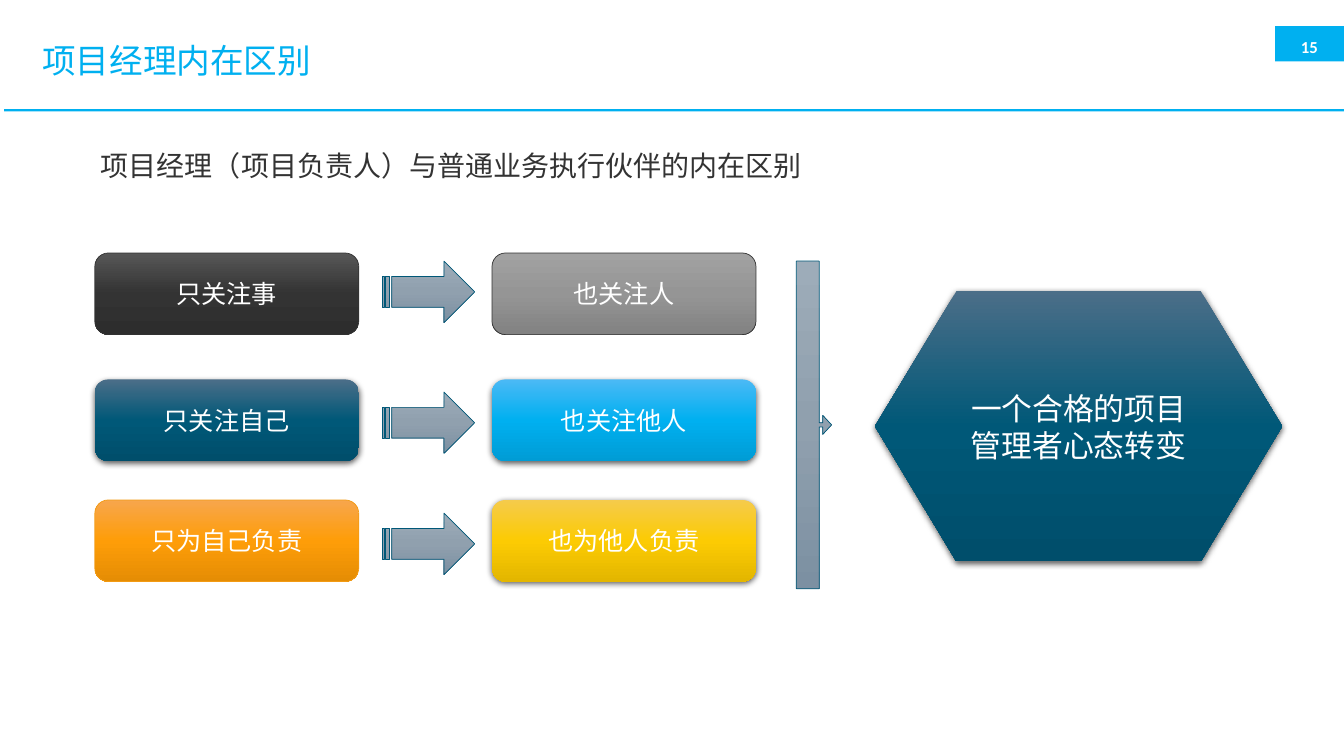
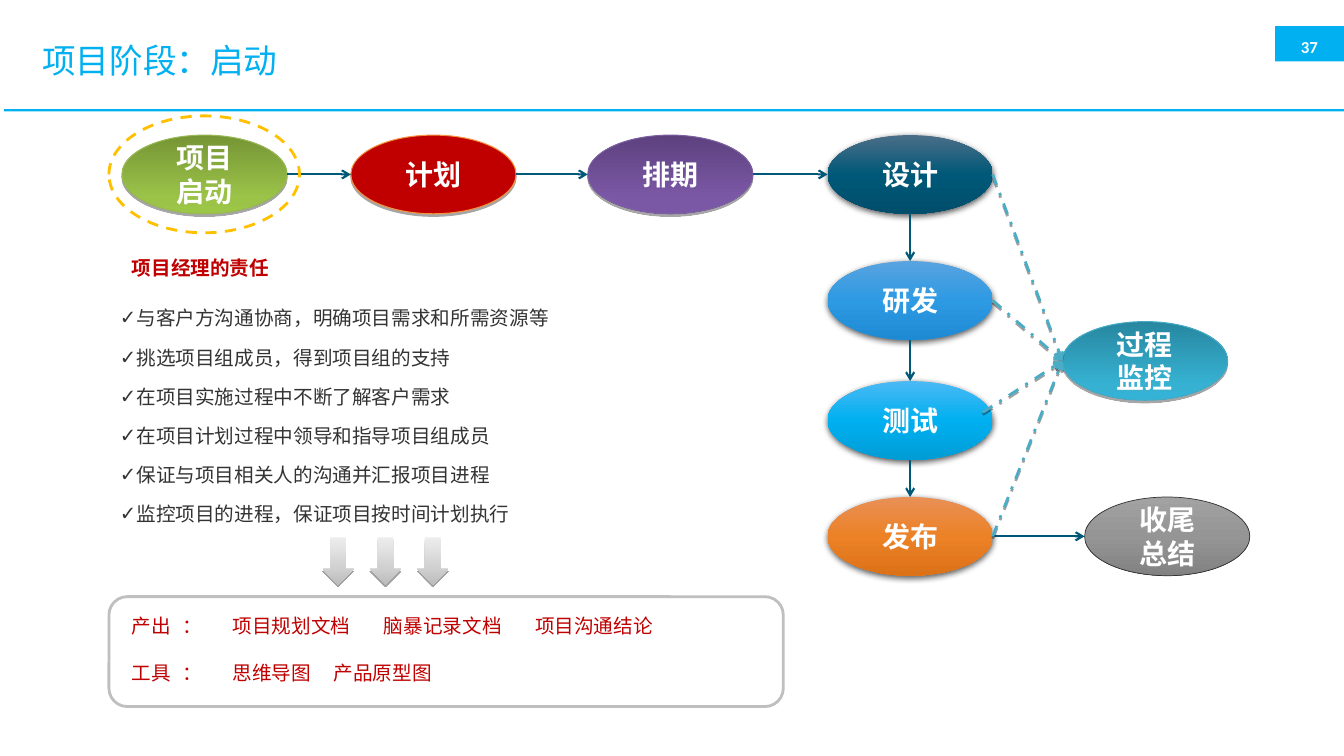
from dataclasses import dataclass
from typing import Any, Optional

from lxml.etree import SubElement as Sub
from pptx import Presentation
from pptx.dml.color import RGBColor as RGB
from pptx.enum.dml import MSO_LINE as Dash
from pptx.enum.shapes import MSO_CONNECTOR as Link
from pptx.enum.shapes import MSO_SHAPE as Form
from pptx.enum.text import MSO_ANCHOR as Anchor
from pptx.enum.text import MSO_AUTO_SIZE as Auto
from pptx.enum.text import PP_ALIGN as Align
from pptx.oxml.ns import qn
from pptx.util import Pt

# Shared colours and fonts
HUES: dict[str, str] = {
    "sky": "00B0F0", "white": "FFFFFF", "ink": "333333", "navy": "005878",
    "red": "C00000", "gold": "FFC000", "frame": "BFBFBF", "amber": "F39B13",
    "leaf": "98B954", "peach": "F69240", "plum": "7D60A0", "teal": "46AAC5",
    "aqua": "4BACC6", "black": "000000",
}
# Vertical blends, top to bottom
BLENDS: dict[str, tuple[str, str, str]] = {
    "coal": ("575757", "333333", "2D2D2D"),
    "grey": ("A2A2A2", "959595", "828282"),
    "navy": ("4B6E88", "005878", "004E6B"),
    "sky": ("4BB9F5", "00B0F0", "009CD5"),
    "amber": ("F7A64D", "FE9D08", "E58D04"),
    "gold": ("F5CB4C", "FCCB03", "E3B600"),
    "steel": ("9DACB9", "90A0AE", "7C90A2"),
    "leaf": ("769535", "9BC348", "9CC746"),
    "plum": ("5D417E", "7B58A6", "7B57A8"),
    "blue": ("59A3E0", "2D9AE3", "1E8AD3"),
    "rust": ("E89056", "EC8126", "DC7218"),
    "teal": ("2787A0", "36B1D2", "34B3D6"),
    "silver": ("EDEDED", "D0D0D0", "BCBCBC"),
}
# Shadows: opacity in percent, blur, distance
SHADES: dict[str, tuple[float, float, float]] = {
    "soft": (63, 4.5, 1.5), "firm": (34, 0, 1.8), "faint": (37, 0, 1.6),
}
SANS = "Noto Sans CJK SC"


@dataclass(frozen=True)
class Look:
    blend: str = ""
    fill: str = ""
    edge: str = ""
    width: float = 0.5
    shade: str = ""
    mid: int = 50
    dash: Optional[Any] = None


@dataclass(frozen=True)
class Area:
    x: float
    y: float
    w: float
    h: float

    @property
    def left(self) -> tuple[float, float]:
        return self.x, self.y + self.h / 2

    @property
    def right(self) -> tuple[float, float]:
        return self.x + self.w, self.y + self.h / 2

    @property
    def top(self) -> tuple[float, float]:
        return self.x + self.w / 2, self.y

    @property
    def base(self) -> tuple[float, float]:
        return self.x + self.w / 2, self.y + self.h


@dataclass(frozen=True)
class Stage:
    text: str
    x: float
    y: float
    look: Look

    @property
    def area(self) -> Area:
        return Area(self.x, self.y, 118, 56.2)


@dataclass(frozen=True)
class Shift:
    old: str
    new: str
    y: float
    arrow: float
    left: Look
    right: Look


def ink(name: str) -> RGB:
    return RGB.from_string(HUES[name])


def write(frame: Any, text: str, *, size: float = 14, color: str = "white",
          bold: bool = False, face: str = SANS, align: Any = Align.LEFT,
          anchor: Any = Anchor.TOP, lead: Any = None, before: float = 0,
          indent: float = 0, bullet: str = "",
          tabs: tuple[tuple[float, ...], ...] = ()) -> None:
    """Fill a text frame, one paragraph per line of text."""
    frame.word_wrap = True
    frame.auto_size = Auto.NONE
    frame.vertical_anchor = anchor
    for i, line in enumerate(text.split("\n")):
        para = frame.add_paragraph() if i else frame.paragraphs[0]
        props = para._p.get_or_add_pPr()
        props.set("marL", str(Pt(indent)))
        props.set("indent", "0")
        if bullet:
            Sub(props, qn("a:buChar"), char=bullet)
        else:
            Sub(props, qn("a:buNone"))
        if tabs:
            stops = Sub(props, qn("a:tabLst"))
            for pos in tabs[i]:
                Sub(stops, qn("a:tab"), pos=str(Pt(pos)), algn="l")
        para.alignment = align
        para.space_before = Pt(before if i else 0)
        if lead:
            para.line_spacing = lead
        run = para.add_run()
        run.text = line
        font = run.font
        font.size, font.bold, font.name = Pt(size), bold, face
        font.color.rgb = ink(color)
        Sub(run._r.get_or_add_rPr(), qn("a:ea"), typeface=SANS)


def place(item: Any, area: Area) -> Any:
    item.left, item.top = Pt(area.x), Pt(area.y)
    item.width, item.height = Pt(area.w), Pt(area.h)
    return item.text_frame


def label(slide: Any, area: Area, text: str, **style: Any) -> Any:
    box = slide.shapes.add_textbox(*map(Pt, (area.x, area.y, area.w, area.h)))
    write(box.text_frame, text, **style)
    return box


def cast(effects: Any, shade: str) -> None:
    """Add a downward shadow to an effect list."""
    alpha, blur, dist = SHADES[shade]
    drop = Sub(effects, qn("a:outerShdw"), blurRad=str(Pt(blur)),
               dist=str(Pt(dist)), dir="5400000", rotWithShape="0")
    tint = Sub(drop, qn("a:srgbClr"), val=HUES["black"])
    Sub(tint, qn("a:alpha"), val=str(alpha * 1000))


def draw(slide: Any, form: Any, area: Area, look: Look, text: str = "",
         **style: Any) -> Any:
    shape = slide.shapes.add_shape(
        form, *map(Pt, (area.x, area.y, area.w, area.h)))
    props = shape.element.spPr
    if look.blend:
        shape.fill.gradient()
        shape.fill.gradient_angle = 270
        stops = props.find(".//" + qn("a:gsLst"))
        stops.clear()
        for pos, tone in zip((0, look.mid, 100), BLENDS[look.blend]):
            stop = Sub(stops, qn("a:gs"), pos=str(pos * 1000))
            Sub(stop, qn("a:srgbClr"), val=tone)
    elif look.fill:
        shape.fill.solid()
        shape.fill.fore_color.rgb = ink(look.fill)
    else:
        shape.fill.background()
    if look.edge:
        shape.line.color.rgb = ink(look.edge)
        shape.line.width = Pt(look.width)
        if look.dash:
            shape.line.dash_style = look.dash
    else:
        shape.line.fill.background()
    shape.shadow.inherit = False
    if look.shade:
        cast(props.find(qn("a:effectLst")), look.shade)
    if text:
        write(shape.text_frame, text, align=Align.CENTER,
              anchor=Anchor.MIDDLE, **style)
    return shape


def arrow(slide: Any, start: tuple[float, float], end: tuple[float, float],
          look: Look) -> None:
    link = slide.shapes.add_connector(
        Link.STRAIGHT, *map(Pt, (*start, *end)))
    link.line.color.rgb = ink(look.edge)
    link.line.width = Pt(look.width)
    if look.dash:
        link.line.dash_style = look.dash
    props = link._element.spPr
    Sub(props.find(qn("a:ln")), qn("a:tailEnd"), type="arrow")
    effects = Sub(props, qn("a:effectLst"))
    if look.shade:
        cast(effects, look.shade)


def start(deck: Any, title: str, page: str) -> Any:
    """Add a slide with the shared title, rule and page tag."""
    slide = deck.slides.add_slide(deck.slide_layouts[1])
    write(place(slide.shapes.title, Area(23, 19.4, 845.3, 50.4)), title,
          size=24, color="sky", anchor=Anchor.MIDDLE, lead=0.9)
    band = Look(fill="sky")
    draw(slide, Form.RECTANGLE, Area(910.8, 18.7, 49.7, 25.2), band)
    draw(slide, Form.RECTANGLE, Area(2.9, 78, 958, 1.6), band)
    tag = label(slide, Area(918, 21.6, 34.6, 19.4), page, size=12, bold=True,
                face="Calibri", align=Align.CENTER, anchor=Anchor.BOTTOM)
    frame = tag.text_frame
    frame.margin_left = frame.margin_right = 0
    frame.margin_top = frame.margin_bottom = 0
    return slide


# Looks used on both slides
NAVY = Look("navy", shade="soft")
SKY = Look("sky", shade="soft")
GREY = Look("grey", edge="ink")
STEEL = Look("steel", edge="navy")


def mindset(deck: Any) -> None:
    slide = start(deck, "项目经理内在区别", "15")
    write(place(slide.placeholders[1], Area(23, 96.5, 635.8, 48.2)),
          "项目经理（项目负责人）与普通业务执行伙伴的内在区别",
          size=20, color="ink", face="Arial", indent=41.8, lead=Pt(30))
    # Old and new focus, row by row
    shifts = (
        Shift("只关注事", "也关注人", 180.7, 186.5,
              Look("coal", edge="ink"), GREY),
        Shift("只关注自己", "也关注他人", 271, 280, NAVY, SKY),
        Shift("只为自己负责", "也为他人负责", 357.1, 366.5,
              Look("amber", edge="amber"), Look("gold", shade="soft")),
    )
    for row in shifts:
        for x, text, look in ((67.7, row.old, row.left),
                              (351.4, row.new, row.right)):
            draw(slide, Form.ROUNDED_RECTANGLE, Area(x, row.y, 188.6, 58.3),
                 look, text, size=18)
        draw(slide, Form.STRIPED_RIGHT_ARROW,
             Area(272.9, row.arrow, 66.2, 43.9), STEEL)
    # Outcome
    bar = draw(slide, Form.RIGHT_ARROW_CALLOUT,
               Area(568.8, 186.5, 25.2, 234), STEEL)
    for i, part in enumerate((0.12, 0.27, 0.25, 0.65)):
        bar.adjustments[i] = part
    draw(slide, Form.FLOWCHART_PREPARATION, Area(625, 208, 290.9, 193), NAVY,
         "一个合格的项目管理者心态转变", size=22, lead=Pt(26.8))


def launch(deck: Any) -> None:
    slide = start(deck, "项目阶段：启动", "37")

    def firm(blend: str, edge: str, fill: str = "") -> Look:
        return Look(blend, fill, edge, 0.75, "firm", 80)

    # Stages: across, then down, then the two at the side
    across = (
        Stage("项目\n启动", 87.1, 96.5, firm("leaf", "leaf")),
        Stage("计划", 250.6, 96.5, firm("", "peach", "red")),
        Stage("排期", 419.8, 96.5, firm("plum", "plum")),
    )
    down = (
        Stage("设计", 591.1, 96.5, NAVY),
        Stage("研发", 591.1, 186.5, Look("blue", shade="soft")),
        Stage("测试", 591.1, 272.2, SKY),
        Stage("发布", 591.1, 355, Look("rust", shade="soft")),
    )
    wrap = Stage("收尾\n总结", 774.7, 355, GREY)
    watch = Stage("过程\n监控", 758.9, 229.7, firm("teal", "teal"))
    for stage in (*across, *down, wrap, watch):
        draw(slide, Form.OVAL, stage.area, stage.look, stage.text,
             size=20, bold=True, lead=Pt(24))
    # Flow arrows
    flow = Look(edge="navy", width=1.5)
    path_row = (*across, down[0])
    for a, b in (*zip(path_row, path_row[1:]), (down[-1], wrap)):
        arrow(slide, a.area.right, b.area.left, flow)
    for a, b in zip(down, down[1:]):
        arrow(slide, a.area.base, b.area.top, flow)
    check = Look(edge="aqua", width=2, shade="faint", dash=Dash.DASH_DOT)
    for stage in down:
        tip = (702, 294.5) if stage.text == "测试" else stage.area.right
        arrow(slide, tip, watch.area.left, check)
    draw(slide, Form.OVAL, Area(77.8, 82.8, 136.1, 83.5),
         Look(edge="gold", width=2, dash=Dash.DASH))
    # Duties
    label(slide, Area(87.1, 179, 130, 24.5), "项目经理的责任",
          color="red", bold=True)
    write(place(slide.placeholders[1], Area(78.5, 204, 389.5, 186.5)),
          "与客户方沟通协商，明确项目需求和所需资源等\n"
          "挑选项目组成员，得到项目组的支持\n"
          "在项目实施过程中不断了解客户需求\n"
          "在项目计划过程中领导和指导项目组成员\n"
          "保证与项目相关人的沟通并汇报项目进程\n"
          "监控项目的进程，保证项目按时间计划执行",
          color="ink", bullet="✓", lead=Pt(28))
    # Results
    for i in range(3):
        draw(slide, Form.DOWN_ARROW, Area(230.4 + 33.8 * i, 383.8, 22.3, 33.8),
             Look("silver", shade="faint", mid=65))
    draw(slide, Form.ROUNDED_RECTANGLE, Area(77.8, 426.2, 481.7, 78.5),
         Look(edge="frame", width=2))
    label(slide, Area(87.1, 432, 466.6, 62),
          "产出\t：\t项目规划文档\t脑暴记录文档\t项目沟通结论\n"
          "工具\t：\t思维导图\t产品原型图",
          color="red", lead=Pt(20), before=13.6,
          tabs=((33.5, 54, 156.5, 256.5), (33.5, 54, 129)))


def main() -> None:
    deck = Presentation()
    deck.slide_width, deck.slide_height = Pt(960), Pt(540)
    mindset(deck)
    launch(deck)
    deck.save("out.pptx")


if __name__ == "__main__":
    main()
